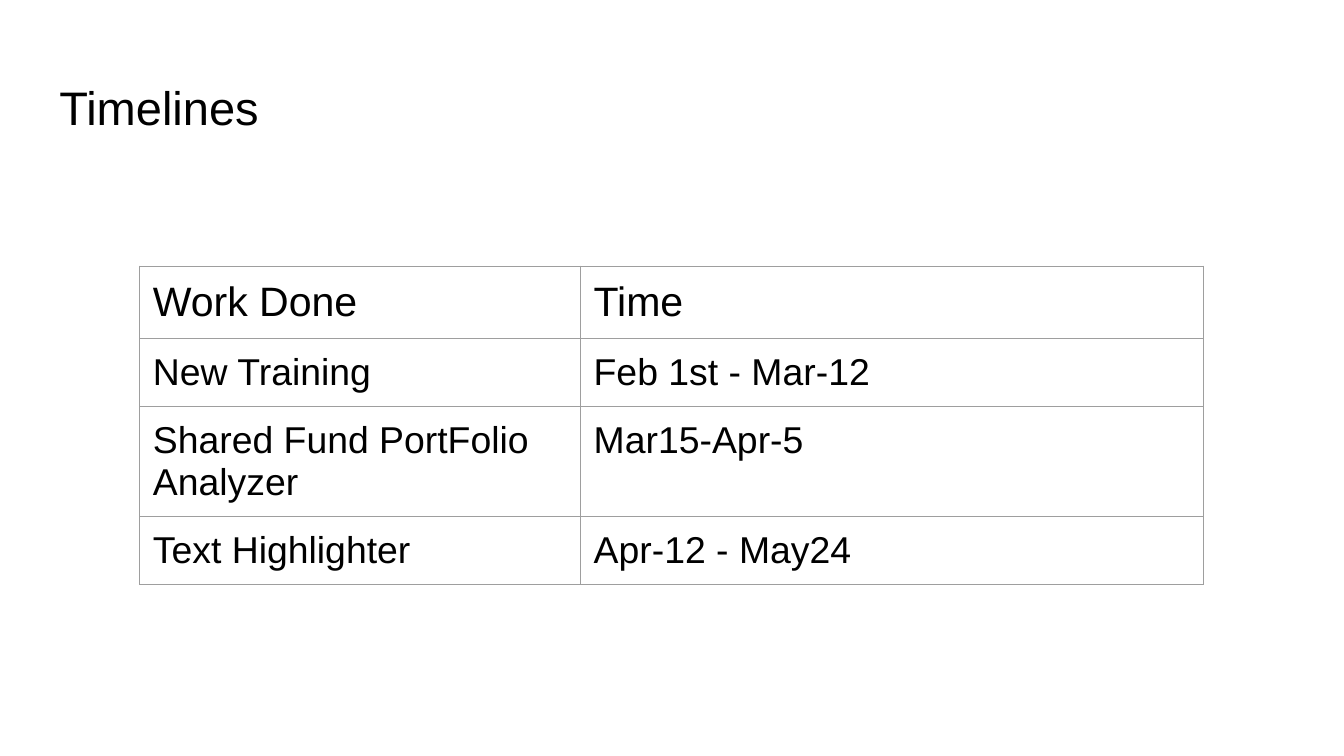
from typing import NamedTuple

from lxml.etree import SubElement
from pptx import Presentation
from pptx.dml.color import RGBColor
from pptx.enum.text import MSO_ANCHOR, MSO_AUTO_SIZE, PP_ALIGN
from pptx.oxml.ns import qn
from pptx.util import Cm, Pt

COLORS = {"text": "000000", "border": "9E9E9E", "background": "FFFFFF"}
FONT = "Arial"
INSET = Cm(0.25)
COLUMN_WIDTHS = (Cm(8.33), Cm(11.78))
ROW_HEIGHT = Cm(1.07)


class TimelineRow(NamedTuple):
    work: str
    time: str
    size: float = 20


ROWS = (
    TimelineRow("Work Done", "Time", 22),
    TimelineRow("New Training", "Feb 1st - Mar-12"),
    TimelineRow("Shared Fund PortFolio Analyzer", "Mar15-Apr-5"),
    TimelineRow("Text Highlighter", "Apr-12 - May24"),
)


def set_text(tf, text: str, size: float) -> None:
    tf.text = text
    p = tf.paragraphs[0]
    p.alignment = PP_ALIGN.LEFT
    font = p.runs[0].font
    font.name, font.size, font.bold = FONT, Pt(size), False
    font.color.rgb = RGBColor.from_string(COLORS["text"])


def set_margins(box) -> None:
    """Give a cell or text frame the same inset on every side."""
    box.margin_left = box.margin_right = INSET
    box.margin_top = box.margin_bottom = INSET


def set_borders(cell) -> None:
    tcPr = cell._tc.get_or_add_tcPr()
    for index, side in enumerate(("lnL", "lnR", "lnT", "lnB")):
        ln = SubElement(tcPr, qn(f"a:{side}"), w=str(Pt(0.75)))
        tcPr.insert(index, ln)
        fill = SubElement(ln, qn("a:solidFill"))
        SubElement(fill, qn("a:srgbClr"), val=COLORS["border"])


def add_title(s, text: str) -> None:
    title = s.shapes.title
    title.left, title.top = Cm(0.87), Cm(1.24)
    title.width, title.height = Cm(23.67), Cm(1.6)
    tf = title.text_frame
    tf.word_wrap = True
    tf.auto_size = MSO_AUTO_SIZE.NONE
    tf.vertical_anchor = MSO_ANCHOR.TOP
    set_margins(tf)
    set_text(tf, text, 25.2)


def add_timeline(s, rows: tuple[TimelineRow, ...]) -> None:
    table = s.shapes.add_table(
        len(rows), len(COLUMN_WIDTHS), Cm(2.64), Cm(5.03),
        sum(COLUMN_WIDTHS), ROW_HEIGHT * len(rows),
    ).table
    table.first_row = table.horz_banding = False
    for column, width in zip(table.columns, COLUMN_WIDTHS):
        column.width = width
    for i, row in enumerate(rows):
        for j, text in enumerate((row.work, row.time)):
            cell = table.cell(i, j)
            cell.fill.background()
            cell.vertical_anchor = MSO_ANCHOR.TOP
            set_margins(cell)
            set_borders(cell)
            set_text(cell.text_frame, text, row.size)


def main() -> None:
    prs = Presentation()
    prs.slide_width, prs.slide_height = Cm(25.4), Cm(14.29)
    s = prs.slides.add_slide(prs.slide_layouts[5])
    s.background.fill.solid()
    s.background.fill.fore_color.rgb = RGBColor.from_string(COLORS["background"])
    add_title(s, "Timelines")
    add_timeline(s, ROWS)
    prs.save("out.pptx")


if __name__ == "__main__":
    main()
